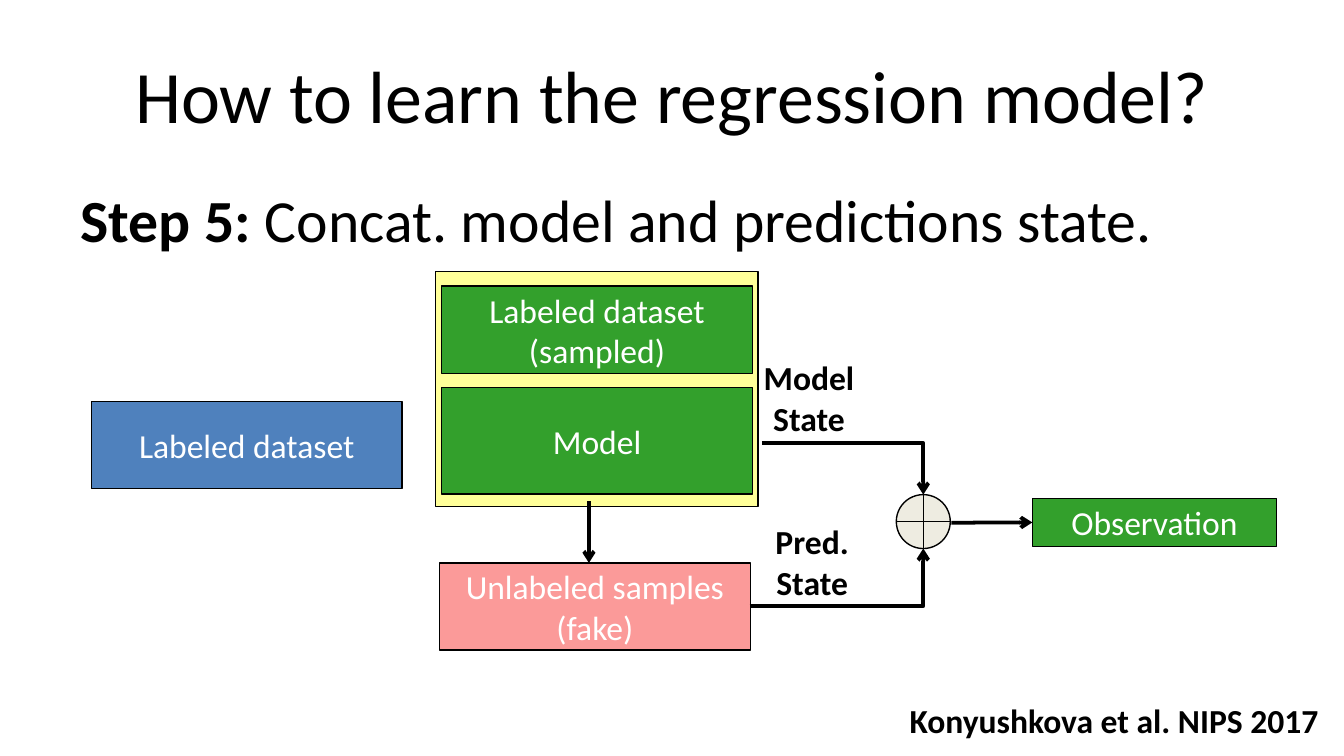
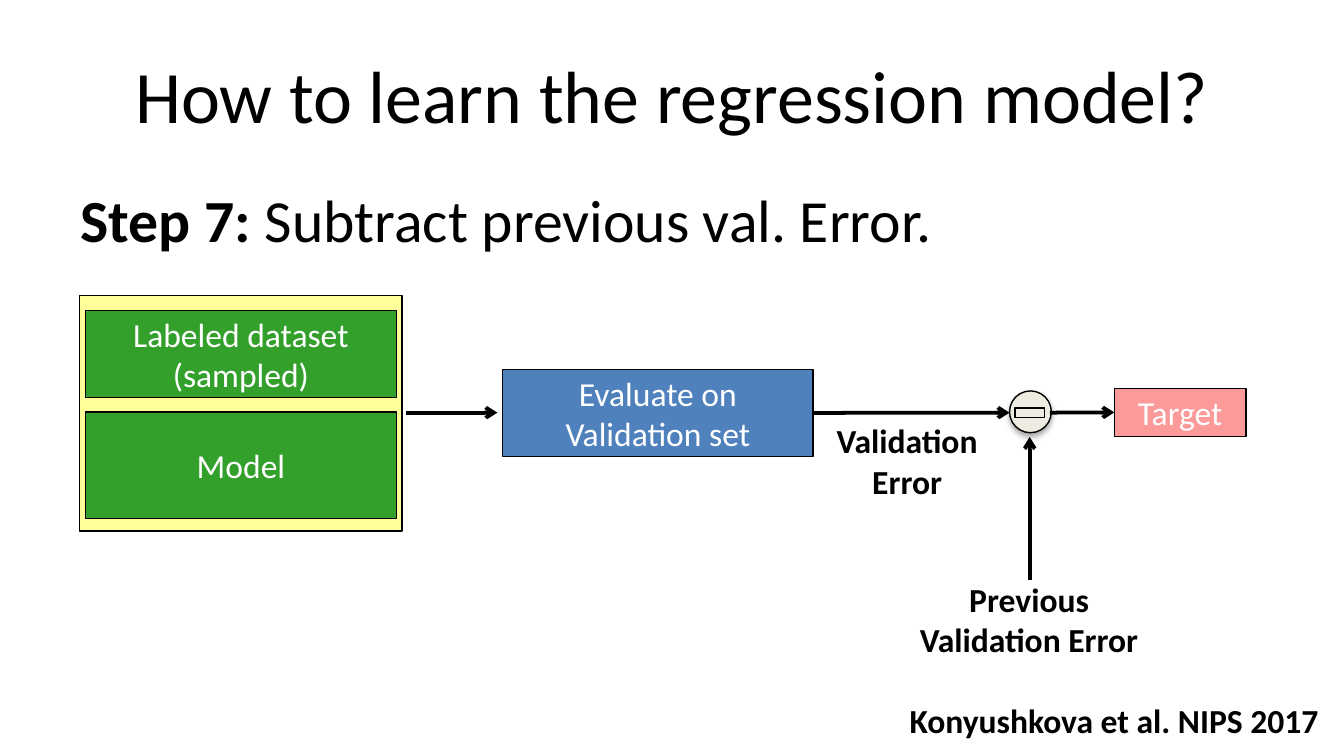
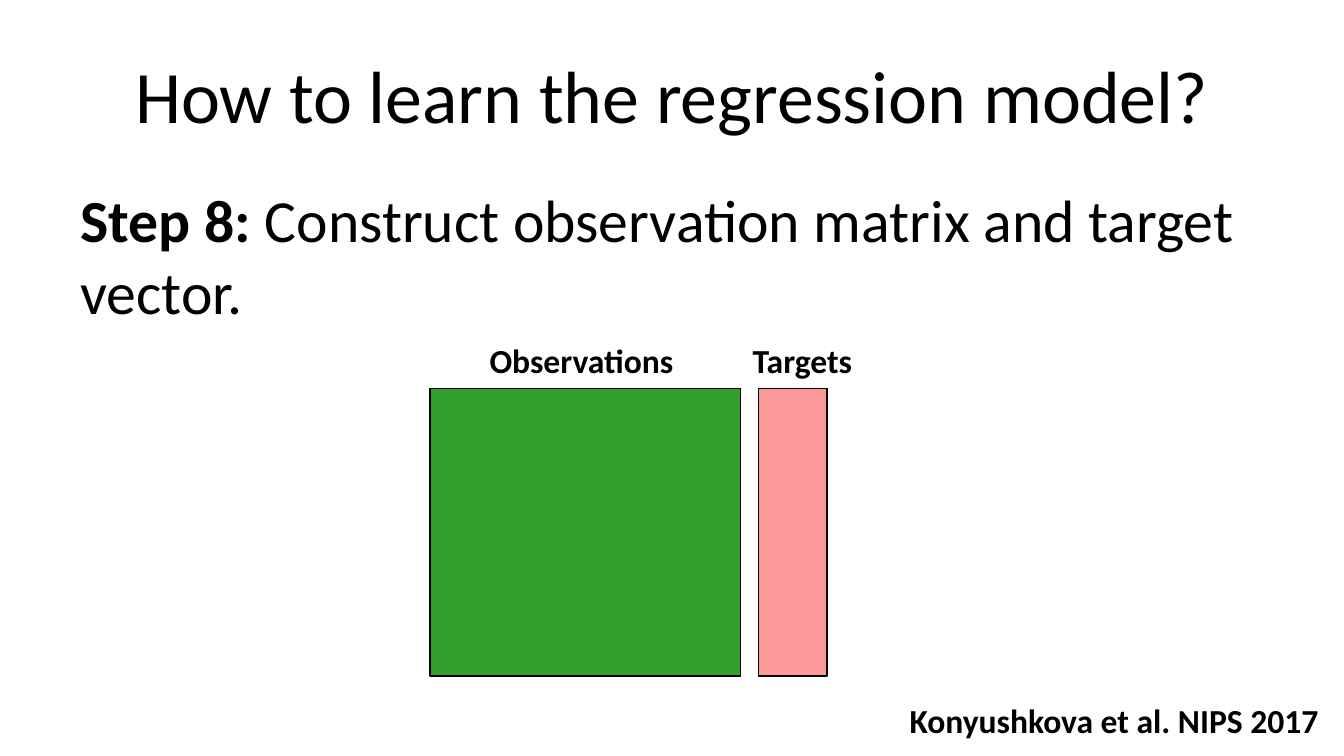
from dataclasses import dataclass

from lxml import etree
from pptx import Presentation
from pptx.dml.color import RGBColor
from pptx.enum.shapes import MSO_CONNECTOR, MSO_SHAPE
from pptx.enum.text import MSO_ANCHOR, MSO_AUTO_SIZE, PP_ALIGN
from pptx.oxml.ns import qn
from pptx.util import Cm, Pt

RECTANGLE = MSO_SHAPE.RECTANGLE
CIRCLED_PLUS = MSO_SHAPE.FLOWCHART_OR
CIRCLE = MSO_SHAPE.FLOWCHART_CONNECTOR
MINUS = MSO_SHAPE.MATH_MINUS
STRAIGHT, ELBOW = MSO_CONNECTOR.STRAIGHT, MSO_CONNECTOR.ELBOW
LEFT, CENTER = PP_ALIGN.LEFT, PP_ALIGN.CENTER
TOP, MIDDLE = MSO_ANCHOR.TOP, MSO_ANCHOR.MIDDLE
LEFT_SIDE, RIGHT_SIDE = 1, 3


@dataclass(frozen=True)
class Theme:
    font: str = "Calibri"
    title_size: float = 39.6
    step_size: float = 32
    label_size: float = 18
    outline: float = 0.75
    arrow: float = 2
    black: str = "000000"
    white: str = "FFFFFF"
    blue: str = "4F81BD"
    green: str = "33A02C"
    pink: str = "FB9A99"
    yellow: str = "FFFF99"
    cream: str = "EEECE1"


THEME = Theme()
TITLE = "How to learn the regression model?"
CITATION = "Konyushkova et al. NIPS 2017"
BOX_SIZE = (5.87, 1.65)
SMALL_BOX_HEIGHT = 0.91
MATRIX_TOP, MATRIX_HEIGHT = 7.34, 5.44
FLOW_Y = 7.8


def model_stack(left, top):
    """Boxes of a model together with the sampled data it learns from."""
    return [
        ("", RECTANGLE, THEME.yellow, (left, top, 6.1, 4.45)),
        ("Labeled dataset (sampled)", RECTANGLE, THEME.green,
         (left + 0.12, top + 0.28, *BOX_SIZE)),
        ("Model", RECTANGLE, THEME.green,
         (left + 0.12, top + 2.2, BOX_SIZE[0], 2.01)),
    ]


# boxes: text, preset, fill, place
# labels: lines, place
# arrows: kind, start, end; an end is a point or a box name with its side
SLIDES = [
    {
        "step": ("Step 5: ", "Concat. model and predictions state."),
        "boxes": model_stack(8.23, 5.13) + [
            ("Labeled dataset", RECTANGLE, THEME.blue, (1.73, 7.59, *BOX_SIZE)),
            ("Unlabeled samples (fake)", RECTANGLE, THEME.pink,
             (8.31, 10.64, *BOX_SIZE)),
            ("", CIRCLED_PLUS, THEME.cream, (16.94, 9.35, 1.02, 1.02)),
            ("Observation", RECTANGLE, THEME.green,
             (19.51, 9.42, 4.62, SMALL_BOX_HEIGHT)),
        ],
        "labels": [
            (["Model", "State"], (14.17, 6.63, 2.24, 1.8)),
            (["Pred.", "State"], (14.4, 9.73, 1.9, 1.8)),
        ],
        "arrows": [
            (STRAIGHT, (11.13, 9.47), (11.13, 10.64)),
            (ELBOW, (14.17, 11.46), (17.45, 10.37)),
            (ELBOW, (14.4, 8.38), (17.45, 9.35)),
            (STRAIGHT, (17.98, 9.88), ("Observation", LEFT_SIDE)),
        ],
    },
    {
        "step": ("Step 7: ", "Subtract previous val. Error."),
        "boxes": model_stack(1.5, 5.59) + [
            ("Evaluate on Validation set", RECTANGLE, THEME.blue,
             (9.5, 6.98, *BOX_SIZE)),
            ("", CIRCLE, THEME.cream, (19.08, 7.39, 0.79, 0.79)),
            ("", MINUS, THEME.cream, (19.08, 7.42, 0.76, 0.76)),
            ("Target", RECTANGLE, THEME.pink,
             (21.06, 7.34, 2.49, SMALL_BOX_HEIGHT)),
        ],
        "labels": [
            (["Validation", "Error"], (15.52, 7.82, 3.25, 1.8)),
            (["Previous", "Validation Error"], (17.09, 10.82, 4.72, 1.8)),
        ],
        "arrows": [
            (STRAIGHT, (7.67, FLOW_Y), (9.4, FLOW_Y)),
            (STRAIGHT, ("Evaluate on Validation set", RIGHT_SIDE), (19.08, FLOW_Y)),
            (STRAIGHT, (19.46, 10.97), (19.46, 8.26)),
            (STRAIGHT, (19.84, FLOW_Y), ("Target", LEFT_SIDE)),
        ],
    },
    {
        "step": ("Step 8: ", "Construct observation matrix and target vector."),
        "boxes": [
            ("", RECTANGLE, THEME.green,
             (8.13, MATRIX_TOP, BOX_SIZE[0], MATRIX_HEIGHT)),
            ("", RECTANGLE, THEME.pink, (14.33, MATRIX_TOP, 1.3, MATRIX_HEIGHT)),
        ],
        "labels": [
            (["Observations"], (8.97, 6.3, 4.04, 1.02)),
            (["Targets"], (13.92, 6.3, 2.49, 1.02)),
        ],
        "arrows": [],
    },
]


def apply_format(target, values):
    for name, value in values.items():
        setattr(target, name, value)


def write(shape, paragraphs, size, color=THEME.black, align=LEFT, anchor=TOP,
          wrap=True):
    """Fill a shape with paragraphs, each a list of (text, bold) runs."""
    frame = shape.text_frame
    fit = MSO_AUTO_SIZE.NONE if wrap else MSO_AUTO_SIZE.SHAPE_TO_FIT_TEXT
    apply_format(frame, {"word_wrap": wrap, "auto_size": fit,
                         "vertical_anchor": anchor})
    for index, runs in enumerate(paragraphs):
        paragraph = frame.add_paragraph() if index else frame.paragraphs[0]
        paragraph.alignment = align
        for text, bold in runs:
            run = paragraph.add_run()
            run.text = text
            apply_format(run.font, {"name": THEME.font, "size": Pt(size),
                                    "bold": bold})
            run.font.color.rgb = RGBColor.from_string(color)


def add_text(slide, place, paragraphs, size, **layout):
    write(slide.shapes.add_textbox(*map(Cm, place)), paragraphs, size, **layout)


def set_line(line, width):
    line.color.rgb = RGBColor.from_string(THEME.black)
    line.width = Pt(width)


def cast_shadow(shape):
    effects = shape.element.spPr.find(qn("a:effectLst"))
    shadow = etree.SubElement(effects, qn("a:outerShdw"), blurRad=str(Pt(3.1)),
                              dist=str(Pt(1.8)), dir="5400000", rotWithShape="0")
    color = etree.SubElement(shadow, qn("a:srgbClr"), val=THEME.black)
    etree.SubElement(color, qn("a:alpha"), val="35000")


def add_box(slide, text, preset, fill, place):
    shape = slide.shapes.add_shape(preset, *map(Cm, place))
    shape.shadow.inherit = False
    shape.fill.solid()
    shape.fill.fore_color.rgb = RGBColor.from_string(fill)
    set_line(shape.line, THEME.outline)
    if preset == CIRCLE:
        cast_shadow(shape)
    if text:
        write(shape, [[(text, False)]], THEME.label_size, THEME.white, CENTER, MIDDLE)
    return shape


def add_arrow(slide, boxes, kind, start, end):
    connector = slide.shapes.add_connector(kind, 0, 0, 0, 0)
    ends = [(start, "begin", connector.begin_connect),
            (end, "end", connector.end_connect)]
    for (first, second), side, connect in ends:
        if first in boxes:
            connect(boxes[first], second)
        else:
            apply_format(connector, {f"{side}_x": Cm(first),
                                     f"{side}_y": Cm(second)})
    set_line(connector.line, THEME.arrow)
    properties = connector.element.spPr
    if kind == ELBOW:
        properties.find(qn("a:prstGeom")).set("prst", "bentConnector2")
    etree.SubElement(properties.find(qn("a:ln")), qn("a:tailEnd"), type="arrow")
    etree.SubElement(properties, qn("a:effectLst"))


def add_slide(presentation, content):
    slide = presentation.slides.add_slide(presentation.slide_layouts[6])
    boxes = {box[0]: add_box(slide, *box) for box in content["boxes"]}
    add_text(slide, (1.27, 0.58, 22.86, 2.39), [[(TITLE, False)]],
             THEME.title_size, align=CENTER, anchor=MIDDLE)
    add_text(slide, (16.94, 13.11, 8.38, 1.02), [[(CITATION, True)]],
             THEME.label_size, wrap=False)
    step, description = content["step"]
    add_text(slide, (1.27, 3.33, 22.86, 9.42),
             [[(step, True), (description, False)]], THEME.step_size)
    for lines, place in content["labels"]:
        add_text(slide, place, [[(line, True)] for line in lines],
                 THEME.label_size, align=CENTER, wrap=False)
    for arrow in content["arrows"]:
        add_arrow(slide, boxes, *arrow)


def main():
    presentation = Presentation()
    apply_format(presentation, {"slide_width": Cm(25.4), "slide_height": Cm(14.29)})
    for content in SLIDES:
        add_slide(presentation, content)
    presentation.save("out.pptx")


if __name__ == "__main__":
    main()
